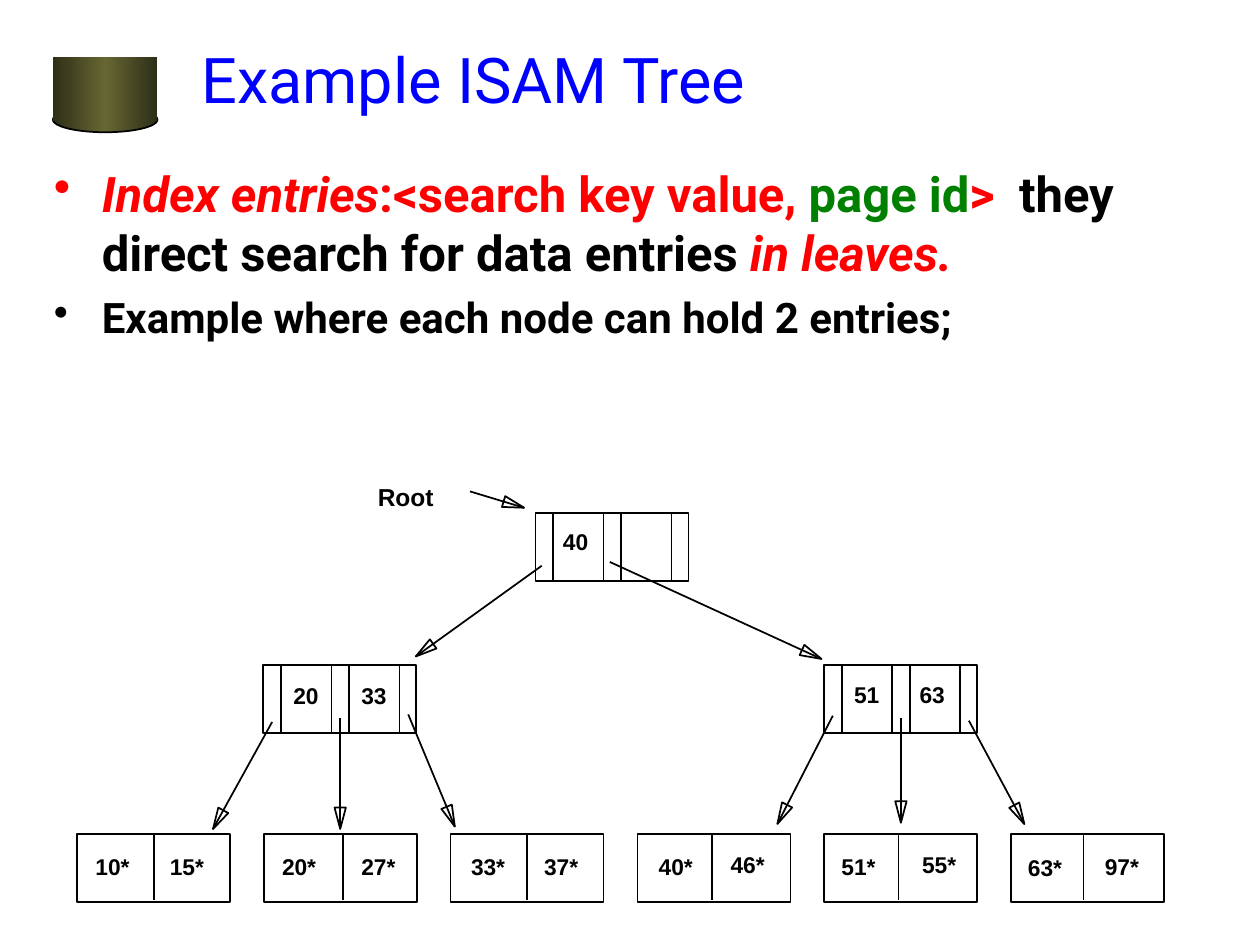
from copy import deepcopy
from math import hypot

from lxml.etree import SubElement
from pptx import Presentation
from pptx.dml.color import RGBColor
from pptx.enum.shapes import MSO_CONNECTOR, MSO_SHAPE
from pptx.enum.text import MSO_ANCHOR
from pptx.oxml.ns import qn
from pptx.util import Inches, Pt

BLACK, RED, GREEN, BLUE = "000000", "FF0000", "008000", "0000FF"
NODE_WIDTH, NODE_HEIGHT = 1.215, 0.54
HEAD_LENGTH, HEAD_HALF_WIDTH = 0.17, 0.045


def color(hex_text):
    return RGBColor.from_string(hex_text)


class SlideBuilder:
    heading_font = "Roboto"
    label_font = "Arial"
    line_width = Pt(1)

    def __init__(self, slide):
        self.shapes = slide.shapes

    def outline(self, shape):
        shape.line.color.rgb = color(BLACK)
        shape.line.width = self.line_width

    def set_font(self, font, name, size, hex_text, bold=False):
        font.name, font.size, font.bold = name, Pt(size), bold
        font.color.rgb = color(hex_text)

    def text_box(self, left, top, width, height, wrap=True):
        box = self.shapes.add_textbox(Inches(left), Inches(top), Inches(width), Inches(height))
        box.text_frame.word_wrap = wrap
        return box.text_frame

    def title(self, text):
        frame = self.text_box(1.5, 0, 8.5, 1.25)
        frame.vertical_anchor = MSO_ANCHOR.MIDDLE
        para = frame.paragraphs[0]
        para.text = text
        self.set_font(para.font, self.heading_font, 36, BLUE)

    def bullet(self, para, size, bullet_color, spans):
        props = para._p.get_or_add_pPr()
        props.set("marL", str(Inches(0.38)))
        props.set("indent", str(Inches(-0.38)))
        SubElement(SubElement(props, qn("a:buClr")), qn("a:srgbClr")).set("val", bullet_color)
        SubElement(props, qn("a:buChar")).set("char", "•")
        self.set_font(para.font, self.heading_font, size, BLACK, True)
        for text, hex_text, italic in spans:
            span = para.add_run()
            span.text = text
            span.font.color.rgb = color(hex_text)
            span.font.italic = italic

    def label(self, text, left, top, width, size=13):
        para = self.text_box(left, top, width, 0.32, wrap=False).paragraphs[0]
        para.text = text
        self.set_font(para.font, self.label_font, size, BLACK, True)

    def gradient_shape(self, kind, left, top, width, height, lined):
        shape = self.shapes.add_shape(kind, Inches(left), Inches(top), Inches(width), Inches(height))
        shape.shadow.inherit = False
        shape.fill.gradient()
        shape.fill.gradient_angle = 0
        stop_list = shape._element.spPr.find(qn("a:gradFill")).find(qn("a:gsLst"))
        stop_list.insert(1, deepcopy(stop_list[0]))
        stops = zip(shape.fill.gradient_stops, (0, 0.5, 1), ("2F2F18", "666633", "2F2F18"))
        for stop, position, hex_text in stops:
            stop.position = position
            stop.color.rgb = color(hex_text)
        if lined:
            self.outline(shape)
        else:
            shape.line.fill.background()

    def node(self, left, top):
        shape = self.shapes.add_shape(MSO_SHAPE.RECTANGLE, Inches(left), Inches(top),
                                      Inches(NODE_WIDTH), Inches(NODE_HEIGHT))
        shape.shadow.inherit = False
        shape.fill.background()
        self.outline(shape)

    def line(self, x1, y1, x2, y2):
        connector = self.shapes.add_connector(MSO_CONNECTOR.STRAIGHT, Inches(x1), Inches(y1),
                                              Inches(x2), Inches(y2))
        self.outline(connector)
        SubElement(connector._element.spPr, qn("a:effectLst"))

    def index_node(self, left, top):
        self.node(left, top)
        for offset in (0.14, 0.54, 0.68, 1.08):
            self.line(left + offset, top, left + offset, top + NODE_HEIGHT)

    def arrow(self, x1, y1, x2, y2):
        """Draw a line with a slim hollow head whose tip is at the end point."""
        self.line(x1, y1, x2, y2)
        length = hypot(x2 - x1, y2 - y1)
        ux, uy = (x2 - x1) / length, (y2 - y1) / length
        base_x, base_y = x2 - ux * HEAD_LENGTH, y2 - uy * HEAD_LENGTH
        corners = [(Inches(base_x - side * uy), Inches(base_y + side * ux))
                   for side in (HEAD_HALF_WIDTH, -HEAD_HALF_WIDTH)]
        builder = self.shapes.build_freeform(Inches(x2), Inches(y2))
        builder.add_line_segments(corners, close=True)
        head = builder.convert_to_shape()
        head.shadow.inherit = False
        head.fill.background()
        self.outline(head)


def main():
    deck = Presentation()
    deck.slide_width, deck.slide_height = Inches(10), Inches(7.5)
    page = SlideBuilder(deck.slides.add_slide(deck.slide_layouts[6]))

    # Cylinder ornament and title
    page.gradient_shape(MSO_SHAPE.OVAL, 0.42, 0.85, 0.83, 0.2, lined=True)
    page.gradient_shape(MSO_SHAPE.RECTANGLE, 0.42, 0.45, 0.83, 0.51, lined=False)
    page.title("Example ISAM Tree")

    # Bullets
    body = page.text_box(0.33, 1.25, 9.42, 4.5)
    page.bullet(body.paragraphs[0], 28, RED, [
        ("Index entries", RED, True),
        (":<search key value, ", RED, False),
        ("page id", GREEN, False),
        (">", RED, False),
        ("  they direct search for data entries ", BLACK, False),
        ("in leaves.", RED, True),
    ])
    second = body.add_paragraph()
    second.space_before = Pt(6)
    page.bullet(second, 24, BLACK, [("Example where each node can hold 2 entries;", BLACK, False)])

    # Leaf pages: divider x, then text, left and top of each entry
    leaves = [
        (1.22, ("10*", 0.66, 6.72), ("15*", 1.25, 6.72)),
        (2.72, ("20*", 2.14, 6.72), ("27*", 2.77, 6.72)),
        (4.18, ("33*", 3.64, 6.72), ("37*", 4.22, 6.72)),
        (5.65, ("40*", 5.13, 6.72), ("46*", 5.7, 6.7)),
        (7.13, ("51*", 6.58, 6.72), ("55*", 7.22, 6.7)),
        (8.6, ("63*", 8.06, 6.73), ("97*", 8.67, 6.72)),
    ]
    for index, (divider, *entries) in enumerate(leaves):
        page.node(0.61 + 1.483 * index, 6.62)
        page.line(divider, 6.63, divider, 7.14)
        for text, left, top in entries:
            page.label(text, left, top, 0.47)

    # Root and index nodes
    for left, top in ((2.09, 5.28), (6.54, 5.28), (4.25, 4.07)):
        page.index_node(left, top)
    keys = [("20", 2.23, 5.36), ("33", 2.77, 5.36), ("51", 6.68, 5.35),
            ("63", 7.2, 5.35), ("40", 4.37, 4.14)]
    for text, left, top in keys:
        page.label(text, left, top, 0.4)
    page.label("Root", 2.9, 3.78, 0.65, size=14)

    # Page pointers
    pointers = [
        (3.73, 3.9, 4.16, 4.03),
        (4.3, 4.49, 3.3, 5.21), (4.84, 4.46, 6.52, 5.23),
        (2.16, 5.73, 1.69, 6.58), (2.7, 5.7, 2.7, 6.58), (3.24, 5.67, 3.61, 6.56),
        (6.61, 5.68, 6.17, 6.54), (7.15, 5.7, 7.15, 6.53), (7.69, 5.72, 8.13, 6.54),
    ]
    for ends in pointers:
        page.arrow(*ends)

    deck.save("out.pptx")


if __name__ == "__main__":
    main()
